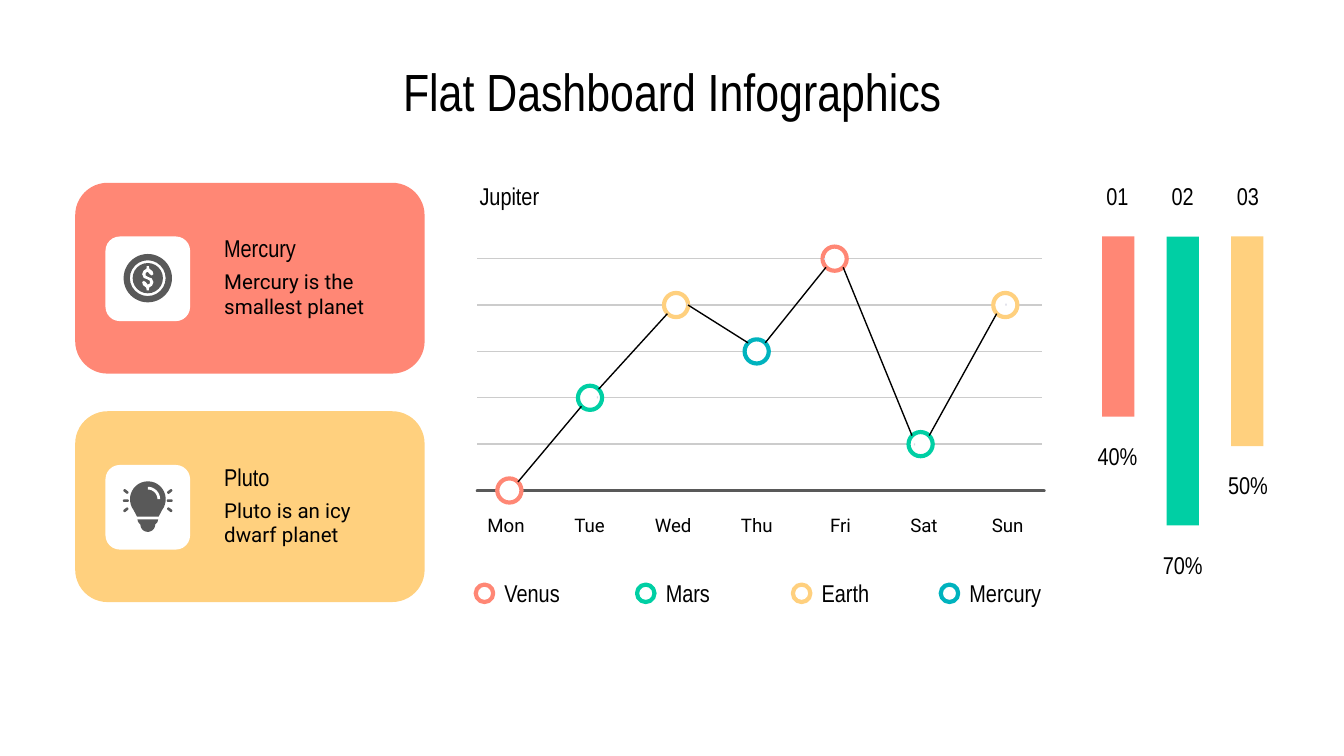
import math

import pptx
import pptx.dml.color
import pptx.enum.shapes
import pptx.enum.text
import pptx.oxml.ns
import pptx.util
from lxml import etree

RGB = pptx.dml.color.RGBColor
KIND = pptx.enum.shapes.MSO_SHAPE
ALIGN = pptx.enum.text.PP_ALIGN
ANCHOR = pptx.enum.text.MSO_ANCHOR

BLACK = RGB(0x00, 0x00, 0x00)
WHITE = RGB(0xFF, 0xFF, 0xFF)
DARK = RGB(0x59, 0x59, 0x59)
PALE = RGB(0xCC, 0xCC, 0xCC)
SPECK = RGB(0xD5, 0xD5, 0xE2)
CORAL = RGB(0xFF, 0x87, 0x75)
GREEN = RGB(0x00, 0xCF, 0xA4)
SAND = RGB(0xFF, 0xD0, 0x7E)
TEAL = RGB(0x00, 0xB3, 0xBE)

HEAD = "Arial Narrow"
BODY = "Roboto"

# The slide is a grid of square cells, 100 columns by 56.25 rows.
COLS, ROWS = 100, 56.25
CELL = pptx.util.Inches(0.1)

BASE, STEP = 36.5, 3.45  # row of the axis, rows per level
RING = 1.8
DAYS = ["Mon", "Tue", "Wed", "Thu", "Fri", "Sat", "Sun"]
# column of the centre, level, colour
MARKS = [(37.9, 0, CORAL), (43.9, 2, GREEN), (50.3, 4, SAND), (56.3, 3, TEAL),
         (62.1, 5, CORAL), (68.5, 1, GREEN), (74.8, 4, SAND)]
SPECKS = [(44.4, 29.5), (51.1, 22.6), (61.3, 19.2), (68, 33), (74.8, 22.6)]
KEYS = [(35.4, "Venus", CORAL), (47.4, "Mars", GREEN),
        (59, "Earth", SAND), (70, "Mercury", TEAL)]
BARS = [("01", "40%", 13.4, CORAL), ("02", "70%", 21.5, GREEN),
        ("03", "50%", 15.6, SAND)]


def emu(cells):
    return round(cells * CELL)


def paint(shape, fill, line=None):
    shape.shadow.inherit = False
    shape.fill.solid()
    shape.fill.fore_color.rgb = fill
    if line is None:
        shape.line.fill.background()
    else:
        shape.line.color.rgb = line
        shape.line.width = pptx.util.Pt(2.25)
    return shape


def block(slide, kind, x, y, w, h, fill, line=None, adj=None):
    shape = slide.shapes.add_shape(kind, emu(x), emu(y), emu(w), emu(h))
    if adj is not None:
        shape.adjustments[0] = adj
    return paint(shape, fill, line)


def disc(slide, x, y, size, fill, line=None):
    """Draw a circle around the centre x, y."""
    half = size / 2
    block(slide, KIND.OVAL, x - half, y - half, size, size, fill, line)


def poly(slide, x, y, dots, fill):
    """Draw a closed outline whose dots are offsets from x, y."""
    spots = [(emu(x + dx), emu(y + dy)) for dx, dy in dots]
    pen = slide.shapes.build_freeform(*spots[0], scale=1.0)
    pen.add_line_segments(spots[1:], close=True)
    paint(pen.convert_to_shape(), fill)


def arc(x, y, size, first, last):
    """List dots on an arc; degrees run clockwise from the right."""
    turns = [math.radians(first + (last - first) * i / 24) for i in range(25)]
    return [(x + size * math.cos(t), y + size * math.sin(t)) for t in turns]


def rule(slide, x1, y1, x2, y2, color):
    line = slide.shapes.add_connector(
        pptx.enum.shapes.MSO_CONNECTOR.STRAIGHT,
        emu(x1), emu(y1), emu(x2), emu(y2))
    line.line.color.rgb = color
    line.line.width = pptx.util.Pt(0.75)
    etree.SubElement(line._element.spPr, pptx.oxml.ns.qn("a:effectLst"))


def label(slide, x, y, w, h, text, size=13, font=HEAD, align=ALIGN.LEFT,
          anchor=ANCHOR.MIDDLE):
    box = slide.shapes.add_textbox(emu(x), emu(y), emu(w), emu(h))
    frame = box.text_frame
    frame.word_wrap = True
    frame.vertical_anchor = anchor
    frame.margin_left = frame.margin_right = CELL
    frame.margin_top = frame.margin_bottom = CELL
    para = frame.paragraphs[0]
    para.alignment = align
    run = para.add_run()
    run.text = text
    run.font.size = pptx.util.Pt(size)
    run.font.name = font
    run.font.color.rgb = BLACK


def coin(slide, x, y):
    block(slide, KIND.DONUT, x - 1.8, y - 1.8, 3.6, 3.6, DARK, adj=0.13)
    disc(slide, x, y, 2.25, DARK)
    half = [(-0.1, -0.7), (-0.08, -0.9), (0.08, -0.9), (0.12, -0.7),
            (0.35, -0.52), (0.42, -0.3), (0.3, -0.2), (0.15, -0.3),
            (0, -0.48), (-0.15, -0.4), (-0.16, -0.2), (0, -0.1),
            (0.3, 0.02), (0.42, 0.3), (0.32, 0.55)]
    poly(slide, x, y, half + [(-dx, -dy) for dx, dy in half], WHITE)


def bulb(slide, x, y):
    mid = y - 0.55
    glass = arc(0, 0, 1.33, 143, 397) + [(0.8, 1.3), (-0.8, 1.3)]
    poly(slide, x, mid, glass, DARK)
    shine = arc(0, 0, 0.92, -90, 0) + arc(0, 0, 0.72, 0, -90)
    poly(slide, x, mid, shine, WHITE)
    foot = [(-0.77, 1.5), (0.77, 1.5), (0.72, 1.7)]
    foot += arc(0, 1.88, 0.55, 0, 180) + [(-0.72, 1.7)]
    poly(slide, x, mid, foot, DARK)
    for side in (-1, 1):
        for turn in (-1, 0, 1):
            ray = block(slide, KIND.ROUNDED_RECTANGLE, x + side * 1.63 - 0.22,
                        mid + 0.1 + turn * 0.68 - 0.1, 0.44, 0.2, DARK, adj=0.5)
            ray.rotation = side * turn * 38


def card(slide, y, color, name, text, icon):
    block(slide, KIND.ROUNDED_RECTANGLE, 5.6, y, 26, 14.2, color, adj=0.17)
    block(slide, KIND.ROUNDED_RECTANGLE, 7.85, y + 4, 6.3, 6.3, WHITE, adj=0.17)
    icon(slide, 11, y + 7.1)
    label(slide, 15.7, y + 3.5, 13.3, 2.7, name)
    label(slide, 15.7, y + 5.85, 13.3, 4.8, text, 11, BODY)


def links(slide):
    """Join the rings, from corner to corner."""
    gap = 0.64
    for (x1, a, _), (x2, b, _) in zip(MARKS, MARKS[1:]):
        way = 1 if b < a else -1
        dx, dy = gap, gap * way
        if (a, b) == (4, 3):  # the gentle slope leaves from the side
            dx, dy = RING / 2, 0
        rule(slide, x1 + dx, BASE - a * STEP + dy,
             x2 - gap, BASE - b * STEP - gap * way, BLACK)


def graph(slide):
    label(slide, 34.7, 12.4, 12, 4.3, "Jupiter")
    for level in range(1, 6):
        y = BASE - level * STEP
        rule(slide, 35.5, y, 77.5, y, PALE)
    block(slide, KIND.ROUNDED_RECTANGLE, 35.4, BASE - 0.1, 42.4, 0.2, DARK,
          adj=0.5)
    for x, level, color in MARKS:
        disc(slide, x, BASE - level * STEP, RING, WHITE, color)
    for x, y in SPECKS:
        block(slide, KIND.RECTANGLE, x, y, 0.1, 0.15, SPECK)
    links(slide)
    for i, day in enumerate(DAYS):
        label(slide, 33.9 + 6.22 * i, 36.9, 7.5, 4.3, day, 10, BODY,
              ALIGN.CENTER)
    for x, name, color in KEYS:
        disc(slide, x + 0.65, 44.15, 1.3, WHITE, color)
        label(slide, x + 1.15, 42.5, 8.2, 3.2, name)


def bars(slide):
    top = 17.6
    for i, (name, share, tall, color) in enumerate(BARS):
        block(slide, KIND.RECTANGLE, 82 + 4.8 * i, top, 2.4, tall, color)
        for y, text in ((12.4, name), (top + tall + 0.75, share)):
            label(slide, 79.5 + 4.85 * i, y, 7.3, 4.3, text,
                  align=ALIGN.CENTER)


def main():
    deck = pptx.Presentation()
    deck.slide_width, deck.slide_height = emu(COLS), emu(ROWS)
    slide = deck.slides.add_slide(deck.slide_layouts[6])
    label(slide, 4.5, 3.4, 91, 6.3, "Flat Dashboard Infographics", 28,
          align=ALIGN.CENTER, anchor=ANCHOR.TOP)
    card(slide, 13.6, CORAL, "Mercury", "Mercury is the smallest planet", coin)
    card(slide, 30.6, SAND, "Pluto", "Pluto is an icy dwarf planet", bulb)
    graph(slide)
    bars(slide)
    deck.save("out.pptx")


if __name__ == "__main__":
    main()
